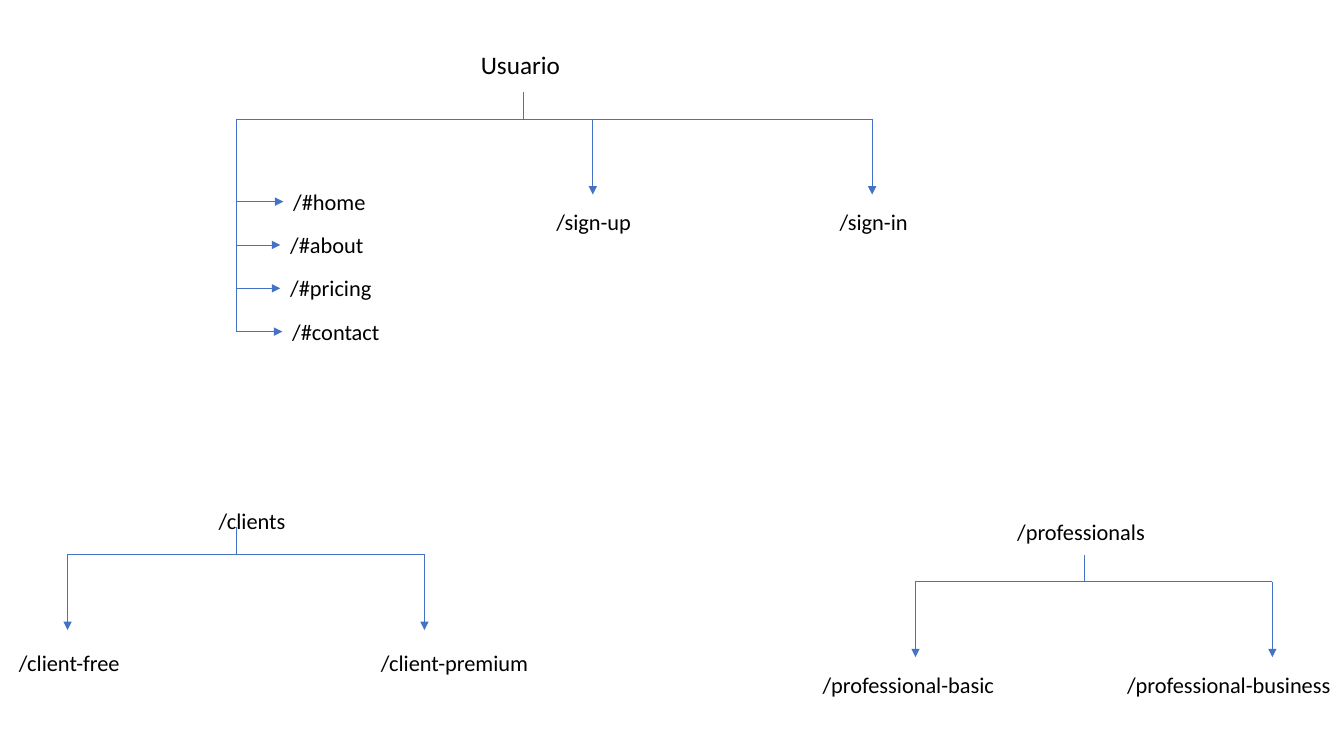
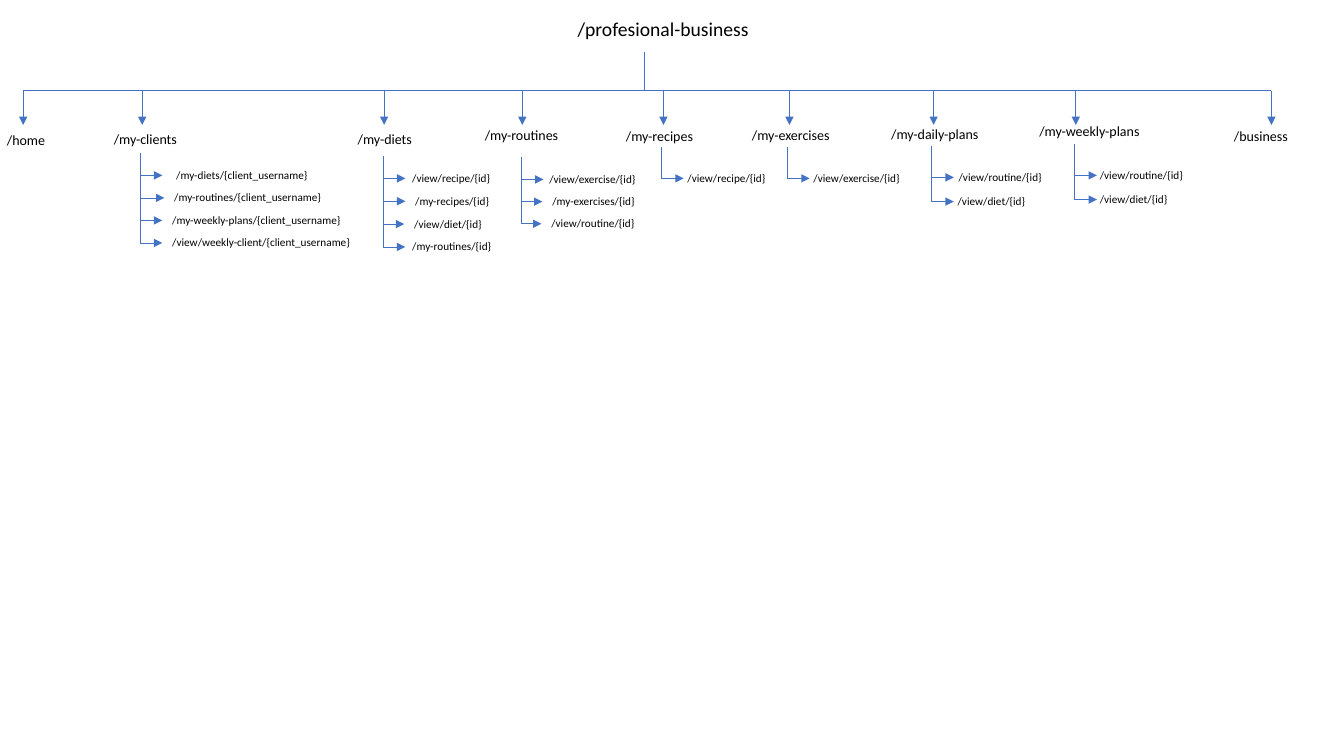
from dataclasses import dataclass

from lxml import etree
from pptx import Presentation
from pptx import util as u
from pptx.dml.color import RGBColor
from pptx.enum import shapes, text
from pptx.oxml import ns


@dataclass(frozen=True)
class Theme:
    font: str = "Calibri"
    ink: RGBColor = RGBColor(0x00, 0x00, 0x00)
    line: RGBColor = RGBColor(0x44, 0x72, 0xC4)
    line_width: float = 0.5
    heading: int = 18
    route: int = 16
    title: int = 14
    section: int = 10
    leaf: int = 8


THEME = Theme()
JOIN_GAP = 0.02  # an arrow this close to a label is joined to it


def label_height(size):
    """Height in inches of a one-line label with its insets."""
    return round(size * 1.22 / 72 + 0.1, 2)


def add_label(slide, words, *, left, top, width, size):
    box = slide.shapes.add_textbox(u.Inches(left), u.Inches(top),
                                   u.Inches(width), u.Inches(label_height(size)))
    frame = box.text_frame
    frame.word_wrap = True
    frame.auto_size = text.MSO_AUTO_SIZE.SHAPE_TO_FIT_TEXT
    run = frame.paragraphs[0].add_run()
    run.text = words
    run.font.name = THEME.font
    run.font.size = u.Pt(size)
    run.font.color.rgb = THEME.ink
    return box


def add_line(slide, start, end, arrow=False):
    points = [u.Inches(value) for value in (*start, *end)]
    connector = slide.shapes.add_connector(shapes.MSO_CONNECTOR.STRAIGHT, *points)
    connector.line.color.rgb = THEME.line
    connector.line.width = u.Pt(THEME.line_width)
    properties = connector._element.spPr
    if arrow:
        outline = properties.find(ns.qn("a:ln"))
        etree.SubElement(outline, ns.qn("a:tailEnd"), type="triangle")
    etree.SubElement(properties, ns.qn("a:effectLst"))
    return connector


def add_bar(slide, *, stem, top, y, left, right, drops, tip):
    """Horizontal bar with a stem above it and arrows dropping from it."""
    add_line(slide, (left, y), (right, y))
    add_line(slide, (stem, y), (stem, top))
    for x in drops:
        add_line(slide, (x, y), (x, tip), arrow=True)


def add_branch(slide, *, x, top, first, last, reach, size, leaves):
    """Vertical trunk with evenly spaced arrows, each pointing at a label."""
    add_line(slide, (x, top), (x, last))
    step = (last - first) / max(len(leaves) - 1, 1)
    for index, (words, left, width) in enumerate(leaves):
        y = first + index * step
        label = add_label(slide, words, left=left, top=y - label_height(size) / 2,
                          width=width, size=size)
        arrow = add_line(slide, (x, y), (x + reach, y), arrow=True)
        if abs(left - x - reach) <= JOIN_GAP + 0.001:
            arrow.end_connect(label, 1)


def build_user_routes(slide):
    # Visitor pages
    add_label(slide, "Usuario", left=4.67, top=0.44, width=1.28, size=THEME.heading)
    add_bar(slide, stem=5.19, top=0.91, y=1.18, left=2.35, right=8.65,
            drops=(5.88, 8.65), tip=1.93)
    add_branch(slide, x=2.34, top=1.18, first=2, last=3.29, reach=0.46,
               size=THEME.route, leaves=[
                   ("/#home", 2.81, 1.05), ("/#about", 2.78, 1.05),
                   ("/#pricing", 2.78, 1.05), ("/#contact", 2.8, 1.29)])

    # Client and professional areas
    for stem, top, y in ((2.34, 5.23, 5.5), (10.75, 5.51, 5.77)):
        left, right = stem - 1.67, stem + 1.87
        add_bar(slide, stem=stem, top=top, y=y, left=left, right=right,
                drops=(left, right), tip=y + 0.75)

    # Route names
    for words, left, top, width in (
            ("/sign-up", 5.42, 2.02, 1.05),
            ("/sign-in", 8.23, 2.02, 1.05),
            ("/clients", 2.07, 4.98, 1.05),
            ("/client-free", 0.09, 6.39, 1.7),
            ("/client-premium", 3.68, 6.39, 1.7),
            ("/professionals", 9.99, 5.09, 1.52),
            ("/professional-basic", 8.06, 6.61, 2.25),
            ("/professional-business", 11.08, 6.61, 2.25)):
        add_label(slide, words, left=left, top=top, width=width, size=THEME.route)


def build_business_routes(slide):
    # Root and its bar
    add_label(slide, "/profesional-business", left=5.63, top=0.12, width=1.91,
              size=THEME.title)
    drops = (0.23, 1.41, 3.81, 5.18, 6.58, 7.83, 9.26, 10.67, 12.61)
    add_bar(slide, stem=6.39, top=0.52, y=0.9, left=drops[0], right=drops[-1],
            drops=drops, tip=1.24)

    # Sections under the bar
    for words, left, top, width in (
            ("/home", -0.03, 1.26, 0.72),
            ("/my-clients", 1.03, 1.25, 1.29),
            ("/my-diets", 3.45, 1.25, 0.8),
            ("/my-routines", 4.71, 1.21, 1.29),
            ("/my-recipes", 6.11, 1.22, 1.29),
            ("/my-exercises", 7.36, 1.21, 1.29),
            ("/my-daily-plans", 8.74, 1.2, 1.29),
            ("/my-weekly-plans", 10.21, 1.17, 1.29),
            ("/business", 12.14, 1.22, 0.92)):
        add_label(slide, words, left=left, top=top, width=width, size=THEME.section)

    # Pages of each section: trunk x, trunk top, first and last arrow, labels
    for x, top, first, last, leaves in (
            (1.39, 1.52, 1.74, 2.41, [
                ("/my-diets/{client_username}", 1.65, 1.63),
                ("/my-routines/{client_username}", 1.63, 1.73),
                ("/my-weekly-plans/{client_username}", 1.61, 1.94),
                ("/view/weekly-client/{client_username}", 1.61, 1.99)]),
            (3.8, 1.55, 1.77, 2.45, [
                ("/view/recipe/{id}", 3.99, 1.14),
                ("/my-recipes/{id}", 4.02, 1.14),
                ("/view/diet/{id}", 4.01, 0.88),
                ("/my-routines/{id}", 3.99, 1.29)]),
            (5.17, 1.56, 1.78, 2.22, [
                ("/view/exercise/{id}", 5.35, 1.14),
                ("/my-exercises/{id}", 5.38, 1.14),
                ("/view/routine/{id}", 5.37, 1.04)]),
            (6.56, 1.46, 1.77, 1.77, [("/view/recipe/{id}", 6.72, 1.14)]),
            (7.81, 1.46, 1.77, 1.77, [("/view/exercise/{id}", 7.97, 1.14)]),
            (9.24, 1.45, 1.76, 2, [
                ("/view/routine/{id}", 9.41, 1.14),
                ("/view/diet/{id}", 9.4, 1.14)]),
            (10.66, 1.43, 1.74, 1.98, [
                ("/view/routine/{id}", 10.81, 1.14),
                ("/view/diet/{id}", 10.81, 1.14)])):
        add_branch(slide, x=x, top=top, first=first, last=last, reach=0.22,
                   size=THEME.leaf, leaves=leaves)


def main():
    presentation = Presentation()
    presentation.slide_width = u.Inches(13.33)
    presentation.slide_height = u.Inches(7.5)
    blank = presentation.slide_layouts[6]
    for build in (build_user_routes, build_business_routes):
        build(presentation.slides.add_slide(blank))
    presentation.save("out.pptx")


if __name__ == "__main__":
    main()
